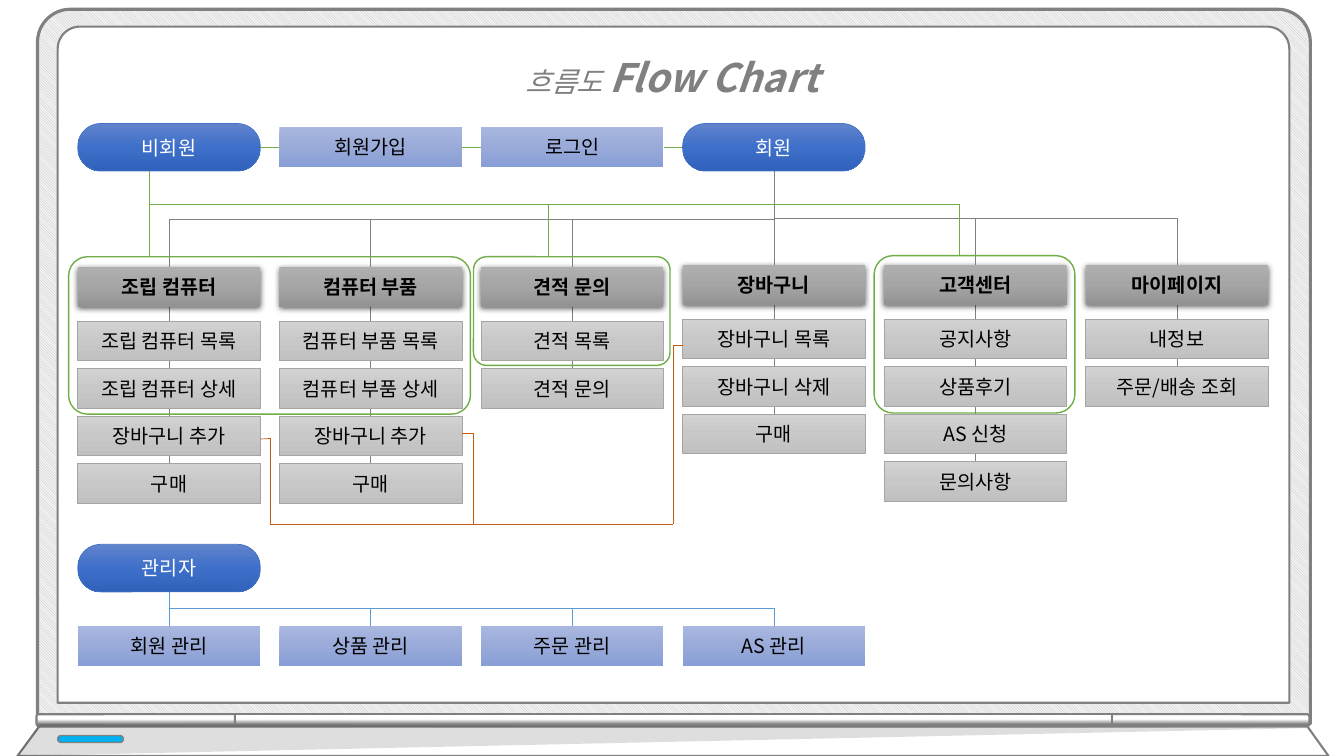
from lxml import etree
from pptx import Presentation
from pptx.dml.color import RGBColor
from pptx.enum.dml import MSO_PATTERN
from pptx.enum.shapes import MSO_CONNECTOR, MSO_SHAPE
from pptx.enum.text import MSO_ANCHOR, MSO_AUTO_SIZE, PP_ALIGN
from pptx.oxml.ns import qn
from pptx.util import Pt

RECT, ROUND = MSO_SHAPE.RECTANGLE, MSO_SHAPE.ROUNDED_RECTANGLE
TAB = MSO_SHAPE.ROUND_2_SAME_RECTANGLE
STRAIGHT, ELBOW = MSO_CONNECTOR.STRAIGHT, MSO_CONNECTOR.ELBOW
HATCH = MSO_PATTERN.LIGHT_DOWNWARD_DIAGONAL
CENTER, MIDDLE = PP_ALIGN.CENTER, MSO_ANCHOR.MIDDLE
GROW = MSO_AUTO_SIZE.SHAPE_TO_FIT_TEXT

FONT = "Noto Sans CJK KR"
GRAY, GREEN, BLUE, ORANGE = "808080", "70AD47", "5B9BD5", "C55A11"
WHITE, BLACK = "FFFFFF", "000000"
PILL = [(0, "6183CB"), (50, "3E70CA"), (100, "3062BB")]
SOFT = [(0, "A8B7DF"), (50, "9AABD9"), (100, "889ED7")]
HEAD = [(0, "AFAFAF"), (50, "A5A5A5"), (100, "939393")]
ITEM = [(0, "D2D2D2"), (50, "C8C8C8"), (100, "C0C0C0")]
HINGE = [(17, GRAY), (59, WHITE)]

LEFT, STEP, WIDE, HIGH = 55.6, 144, 130.4, 28.2
PILL_H, DROP, ROW = 34, 38.6, 33.9
LOW, TOP = 190.8, 189.4
MENUS = [
    (LOW, "조립 컴퓨터", ["조립 컴퓨터 목록", "조립 컴퓨터 상세", "장바구니 추가", "구매"]),
    (LOW, "컴퓨터 부품", ["컴퓨터 부품 목록", "컴퓨터 부품 상세", "장바구니 추가", "구매"]),
    (LOW, "견적 문의", ["견적 목록", "견적 문의"]),
    (TOP, "장바구니", ["장바구니 목록", "장바구니 삭제", "구매"]),
    (TOP, "고객센터", ["공지사항", "상품후기", "AS 신청", "문의사항"]),
    (TOP, "마이페이지", ["내정보", "주문/배송 조회"]),
]
ADMIN = ["회원 관리", "상품 관리", "주문 관리", "AS 관리"]
CART = [
    (193, 313.2, 193, 374.4), (338.4, 309.6, 338.4, 374.4),
    (193, 374.4, 480.6, 374.4), (481, 374.4, 481, 247),
    (481, 247, 487.6, 247), (330, 309.6, 338.4, 309.6),
    (186, 313.6, 193, 313.2),
]


def rgb(color):
    """Turn a hex string into a colour."""
    return RGBColor.from_string(color)


def left(col):
    """Give the left edge of a column."""
    return LEFT + STEP * col


def mid(col):
    """Give the centre of a column."""
    return left(col) + WIDE / 2


def add(parent, tag, **attrs):
    """Append an element with attributes."""
    return etree.SubElement(parent, qn(tag), {k: str(v) for k, v in attrs.items()})


def paint(shape, fill, edge=None, width=0.5):
    """Set fill, outline and no shadow; a list of stops makes a gradient."""
    shape.shadow.inherit = False
    if fill is None:
        shape.fill.background()
    elif isinstance(fill, str):
        shape.fill.solid()
        shape.fill.fore_color.rgb = rgb(fill)
    else:
        shape.fill.gradient()
        grad = shape._element.spPr.find(qn("a:gradFill"))
        stops = grad.find(qn("a:gsLst"))
        for stop in list(stops):
            stops.remove(stop)
        for place, color in fill:
            stop = add(stops, "a:gs", pos=place * 1000)
            add(stop, "a:srgbClr", val=color)
        grad.find(qn("a:lin")).set("ang", "0" if fill is HINGE else "5400000")
    if edge:
        shape.line.color.rgb = rgb(edge)
        shape.line.width = Pt(width)
    else:
        shape.line.fill.background()


def block(slide, kind, box, fill, edge=None, width=0.5, adjust=()):
    """Draw a preset shape."""
    shape = slide.shapes.add_shape(kind, *map(Pt, box))
    for i, value in enumerate(adjust):
        shape.adjustments[i] = value
    paint(shape, fill, edge, width)
    return shape


def style(para, color):
    """Centre a paragraph and set its font and colour."""
    para.alignment = CENTER
    para.font.name = FONT
    para.font.color.rgb = rgb(color)
    add(para._p.pPr.find(qn("a:defRPr")), "a:ea", typeface=FONT)


def label(shape, text, color=BLACK, bold=False):
    """Put centred text in a shape."""
    frame = shape.text_frame
    frame.vertical_anchor = MIDDLE
    para = frame.paragraphs[0]
    para.text = text
    style(para, color)
    para.font.size = Pt(14)
    para.font.bold = bold


def wire(slide, color, x1, y1, x2, y2, kind=STRAIGHT):
    """Draw a thin connector."""
    link = slide.shapes.add_connector(kind, Pt(x1), Pt(y1), Pt(x2), Pt(y2))
    link.line.color.rgb = rgb(color)
    link.line.width = Pt(0.5)
    add(link._element.spPr, "a:effectLst")
    return link


def bend(slide, color, x1, y1, x2, y2, turn=0.5):
    """Draw an elbow that runs down, across and down."""
    cx, cy = (x1 + x2) / 2, (y1 + y2) / 2
    right = x2 > x1
    dx = (y2 - y1) / 2 * (1 if right else -1)
    dy = abs(x2 - x1) / 2
    link = wire(slide, color, cx + dx, cy - dy, cx - dx, cy + dy, ELBOW)
    props = link._element.spPr
    props.find(qn("a:xfrm")).set("rot", "16200000" if right else "5400000")
    guides = props.find(qn("a:prstGeom")).find(qn("a:avLst"))
    add(guides, "a:gd", name="adj1", fmla=f"val {round(turn * 100000)}")


def plate(slide, points, fill, edge=None):
    """Draw a closed outline."""
    pen = slide.shapes.build_freeform(Pt(points[0][0]), Pt(points[0][1]))
    pen.add_line_segments([(Pt(x), Pt(y)) for x, y in points[1:]], close=True)
    shape = pen.convert_to_shape()
    paint(shape, fill, edge, 1.5)
    return shape


def laptop(slide):
    """Draw the laptop around the chart."""
    lid = block(slide, TAB, (26.8, 6.6, 909.2, 510.4), WHITE, GRAY, 2.25, (0.046, 0))
    lid.fill.patterned()
    lid.fill.pattern = HATCH
    lid.fill.fore_color.rgb = rgb("BFBFBF")
    lid.fill.back_color.rgb = rgb("F2F2F2")
    block(slide, TAB, (41.2, 19, 879.8, 483), WHITE, GRAY, 1.5, (0.033, 0))
    for x, high, turn, bow in ((97, 141.8, 270, 0.193), (864.4, 141.8, 90, 0.193),
                               (480.8, 626.4, 270, 0)):
        box = (x - 4.3, 514.4 - high / 2, 8.6, high)
        hinge = block(slide, TAB, box, HINGE, GRAY, 1.5, (bow, 0))
        hinge.rotation = turn
        if turn == 90:
            hinge._element.spPr.find(qn("a:xfrm")).set("flipH", "1")
    plate(slide, [(28, 519), (934, 519), (949, 540), (12.4, 540)], WHITE, GRAY)
    shade = plate(slide, [(28, 517.2), (12.4, 540), (937.6, 520)], BLACK)
    tint = shade._element.spPr.find(qn("a:solidFill"))[0]
    add(tint, "a:alpha", val=13000)
    block(slide, ROUND, (41.2, 525.4, 47, 5), "00B0F0", GRAY, 1, (0.5,))


def title(slide):
    """Write the two-part heading."""
    box = slide.shapes.add_textbox(Pt(264), Pt(18), Pt(432), Pt(58.3))
    frame = box.text_frame
    frame.word_wrap = True
    frame.auto_size = GROW
    para = frame.paragraphs[0]
    para.line_spacing = 1.5
    style(para, GRAY)
    para.font.italic = True
    for text, size, bold in (("흐름도 ", 20, False), ("Flow Chart", 28, True)):
        run = para.add_run()
        run.text = text
        run.font.size, run.font.bold = Pt(size), bold


def role(slide, col, y, text):
    """Draw a user role as a blue pill."""
    box = (left(col), y, WIDE, PILL_H)
    label(block(slide, ROUND, box, PILL, "4472C4", adjust=(0.483,)), text, WHITE)


def task(slide, col, y, text):
    """Draw a pale blue step."""
    label(block(slide, RECT, (left(col), y, WIDE, HIGH), SOFT), text)


def menu(slide, col, y, name, items):
    """Draw a menu heading over its linked items."""
    last = y + DROP + ROW * (len(items) - 1)
    wire(slide, GRAY, mid(col), last, mid(col), y + HIGH)
    head = block(slide, RECT, (left(col), y, WIDE, HIGH), HEAD)
    label(head, name, bold=True)
    glow = add(head._element.spPr.find(qn("a:effectLst")), "a:outerShdw", blurRad=Pt(4.5),
               dist=Pt(1.5), dir=5400000, algn="ctr", rotWithShape=0)
    add(add(glow, "a:srgbClr", val=BLACK), "a:alpha", val=63000)
    for i, text in enumerate(items):
        box = (left(col), y + DROP + ROW * i, WIDE, HIGH)
        label(block(slide, RECT, box, ITEM, "A5A5A5"), text)


def main():
    """Build the flow chart slide."""
    deck = Presentation()
    deck.slide_width, deck.slide_height = Pt(960), Pt(540)
    slide = deck.slides.add_slide(deck.slide_layouts[6])
    laptop(slide)
    title(slide)
    wire(slide, GREEN, 107, 122, 107, 183.6)
    for col, (y, name, items) in enumerate(MENUS):
        menu(slide, col, y, name, items)
        if col == 3:
            wire(slide, GRAY, mid(3), 122, mid(3), y)
        else:
            bend(slide, GRAY, mid(3), 122, mid(col), y)
    for col in range(3):
        wire(slide, GREEN, left(col) + WIDE, 105.2, left(col + 1), 105.2)
    task(slide, 1, 90.8, "회원가입")
    task(slide, 2, 90.8, "로그인")
    wire(slide, BLUE, mid(0), 422.6, mid(0), 447.2)
    for col, text in enumerate(ADMIN):
        task(slide, col, 447.2, text)
        if col:
            bend(slide, BLUE, mid(0), 422.6, mid(col), 447.2)
    for col, y, text in ((0, 88.2, "비회원"), (3, 88.2, "회원"), (0, 388.8, "관리자")):
        role(slide, col, y, text)
    for ends in CART:
        wire(slide, ORANGE, *ends)
    for box in ((49, 183.4, 287, 112.4), (624.4, 182.6, 143.4, 112.4),
                (338.2, 183.4, 140.4, 77.6)):
        block(slide, ROUND, box, None, GREEN, 1, (0.12,))
    bend(slide, GREEN, 107, 122, 685.4, 182.6, 0.4)
    wire(slide, GREEN, 391.8, 146.6, 391.8, 183.4)
    deck.save("out.pptx")


if __name__ == "__main__":
    main()
